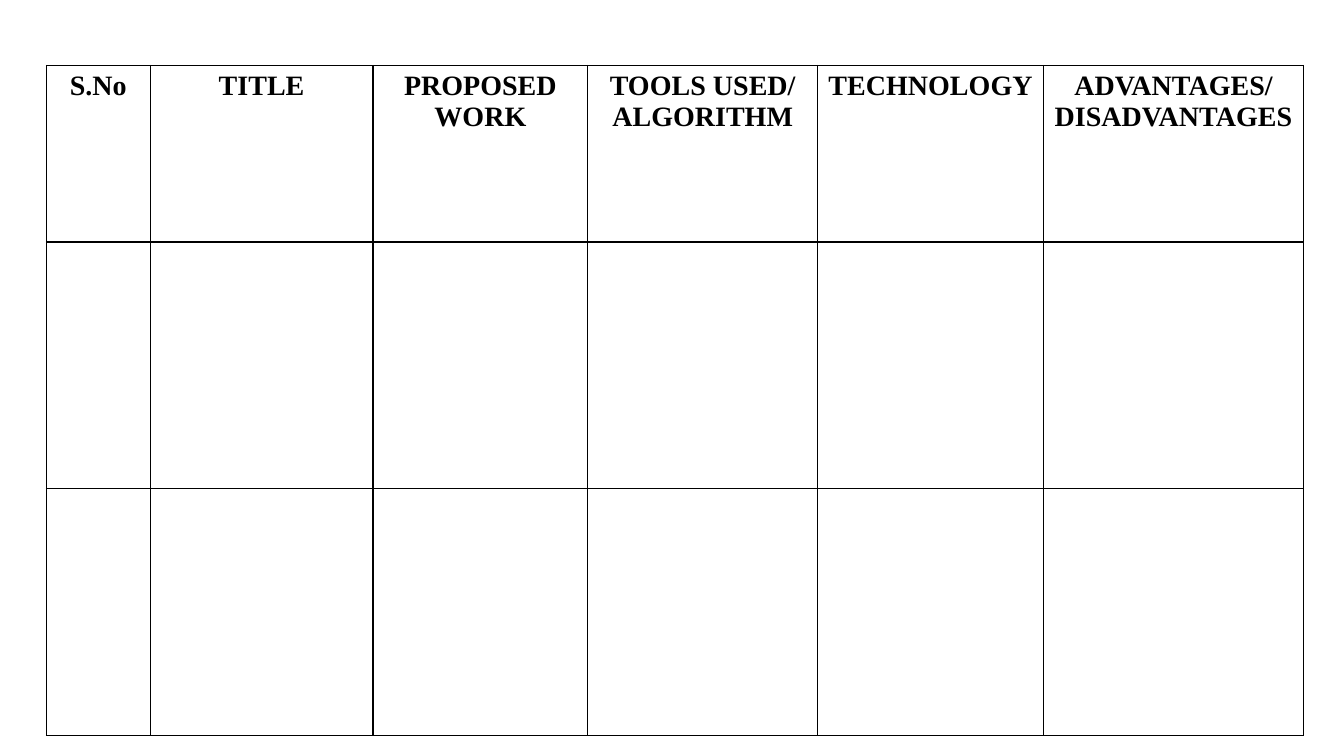
from dataclasses import dataclass

from lxml import etree
from pptx import Presentation, util as u
from pptx.dml import color
from pptx.enum import text
from pptx.oxml import ns

COLORS = {"text": "000000", "border": "000000"}
FONT = {"name": "Times New Roman", "size": u.Pt(20), "bold": True}
TABLE_FLAGS = {"first_row": False, "horz_banding": False}
ROW_HEIGHTS = (1.75, 2.45, 2.45)


@dataclass
class Column:
    heading: str
    width: float


COLUMNS = [
    Column("S.No", 1.03),
    Column("TITLE", 2.21),
    Column("PROPOSED WORK", 2.13),
    Column("TOOLS USED/\nALGORITHM", 2.28),
    Column("TECHNOLOGY", 2.24),
    Column("ADVANTAGES/ DISADVANTAGES", 2.58),
]


def set_attributes(target: object, values: dict) -> None:
    for name, value in values.items():
        setattr(target, name, value)


def style_cell(cell) -> None:
    tc_pr = cell._tc.get_or_add_tcPr()
    for side in ("lnL", "lnR", "lnT", "lnB"):
        line = etree.SubElement(tc_pr, ns.qn(f"a:{side}"), w=str(u.Pt(1)))
        fill = etree.SubElement(line, ns.qn("a:solidFill"))
        etree.SubElement(fill, ns.qn("a:srgbClr"), val=COLORS["border"])
    cell.fill.background()


def write_heading(cell, heading: str) -> None:
    cell.text = heading
    for p in cell.text_frame.paragraphs:
        p.alignment = text.PP_ALIGN.CENTER
        for r in p.runs:
            set_attributes(r.font, FONT)
            r.font.color.rgb = color.RGBColor.from_string(COLORS["text"])


prs = Presentation()
prs.slide_width, prs.slide_height = u.Inches(13.33), u.Inches(7.5)
slide = prs.slides.add_slide(prs.slide_layouts[6])

table = slide.shapes.add_table(
    len(ROW_HEIGHTS), len(COLUMNS), u.Inches(0.46), u.Inches(0.65),
    u.Inches(sum(c.width for c in COLUMNS)), u.Inches(sum(ROW_HEIGHTS)),
).table
set_attributes(table, TABLE_FLAGS)

for row, height in zip(table.rows, ROW_HEIGHTS):
    row.height = u.Inches(height)
for cell in table.iter_cells():
    style_cell(cell)
for i, column in enumerate(COLUMNS):
    table.columns[i].width = u.Inches(column.width)
    write_heading(table.cell(0, i), column.heading)

prs.save("out.pptx")
